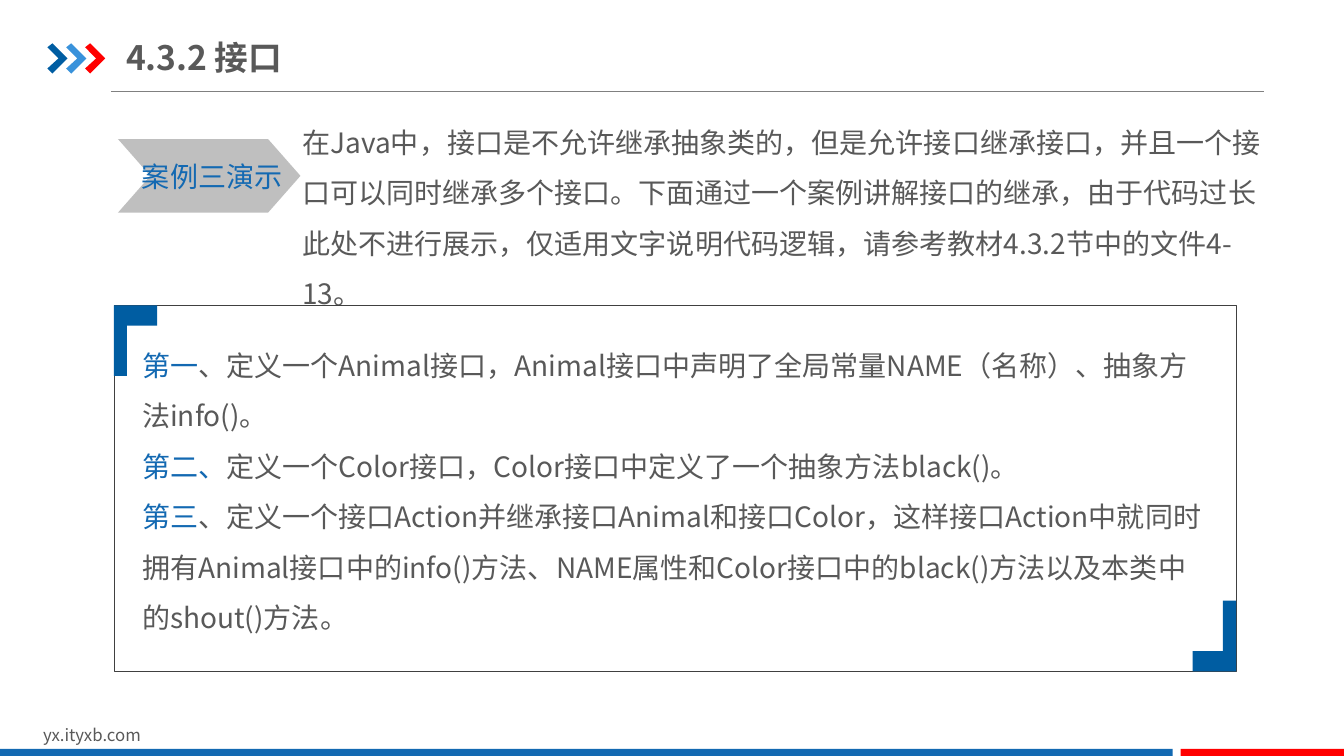
"""Build the slide on interface inheritance in Java."""
from lxml.etree import SubElement
from pptx import Presentation
from pptx.dml.color import RGBColor
from pptx.enum.shapes import MSO_CONNECTOR, MSO_SHAPE
from pptx.enum.text import MSO_ANCHOR, MSO_AUTO_SIZE, PP_ALIGN
from pptx.oxml.ns import qn
from pptx.util import Inches, Pt

FONT = "Noto Sans CJK SC"
NAVY = RGBColor(0x00, 0x5D, 0xA2)
SKY = RGBColor(0x39, 0x92, 0xDB)
BLUE = RGBColor(0x13, 0x69, 0xB2)
RED = RGBColor(0xFF, 0x00, 0x00)
TEXT = RGBColor(0x59, 0x59, 0x59)
RULE = RGBColor(0x80, 0x80, 0x80)
SILVER = RGBColor(0xBF, 0xBF, 0xBF)
EDGE = RGBColor(0x40, 0x40, 0x40)


def add_run(paragraph, text, color=TEXT, size=20, bold=False):
    run = paragraph.add_run()
    run.text = text
    run.font.size = Pt(size)
    run.font.bold = bold
    run.font.color.rgb = color
    run.font.name = FONT
    SubElement(run.font._element, qn("a:ea"), typeface=FONT)


def add_outline(points, color):
    corners = [(Inches(x), Inches(y)) for x, y in points]
    builder = slide.shapes.build_freeform(*corners[0], scale=1.0)
    builder.add_line_segments(corners[1:], close=True)
    outline = builder.convert_to_shape()
    outline.shadow.inherit = False
    outline.fill.solid()
    outline.fill.fore_color.rgb = color
    outline.line.fill.background()


prs = Presentation()
prs.slide_width, prs.slide_height = Inches(13.33), Inches(7.5)
slide = prs.slides.add_slide(prs.slide_layouts[1])
title, steps = slide.placeholders

header_rule = slide.shapes.add_connector(
    MSO_CONNECTOR.STRAIGHT, Inches(1.1), Inches(0.91), Inches(12.54), Inches(0.91))
header_rule.line.color.rgb = RULE
header_rule.line.width = Pt(0.75)
SubElement(header_rule._element.spPr, qn("a:effectLst"))

ARROW = [(0, 0.04), (0.05, 0), (0.2, 0.15), (0.05, 0.3), (0, 0.25), (0.11, 0.15)]
for column, color in enumerate((NAVY, SKY, RED)):
    add_outline([(0.47 + 0.187 * column + x, 0.43 + y) for x, y in ARROW], color)

title.left, title.top, title.width, title.height = map(Inches, (1.25, 0.29, 4.26, 0.55))
heading = title.text_frame
heading.auto_size = MSO_AUTO_SIZE.NONE
heading.vertical_anchor = MSO_ANCHOR.MIDDLE
heading.margin_left = heading.margin_right = 0
heading.margin_top = heading.margin_bottom = Inches(0.07)
heading.paragraphs[0].alignment = PP_ALIGN.LEFT
add_run(heading.paragraphs[0], "4.3.2 接口", size=24, bold=True)

for kind, place, color in (
    (MSO_SHAPE.RECTANGLE, (0, 7.43, 11.63, 0.09), BLUE),
    (MSO_SHAPE.RECTANGLE, (11.71, 7.43, 1.63, 0.09), RED),
    (MSO_SHAPE.CHEVRON, (1.17, 1.38, 1.81, 0.73), SILVER),
):
    block = slide.shapes.add_shape(kind, *map(Inches, place))
    block.shadow.inherit = False
    block.fill.solid()
    block.fill.fore_color.rgb = color
    block.line.fill.background()
    if kind == MSO_SHAPE.CHEVRON:
        block.adjustments[0] = 0.44

for text, place, color, size, spacing, wraps in (
    ("yx.ityxb.com", (0.33, 7.14, 3.18, 0.3), TEXT, 12, 1, True),
    ("在Java中，接口是不允许继承抽象类的，但是允许接口继承接口，并且一个接口可以同时继承多个接口。"
     "下面通过一个案例讲解接口的继承，由于代码过长此处不进行展示，仅适用文字说明代码逻辑，"
     "请参考教材4.3.2节中的文件4-13。", (2.9, 1.03, 9.81, 1.61), TEXT, 20, 1.5, True),
    ("案例三演示", (1.31, 1.53, 1.59, 0.44), BLUE, 20, 1, False),
):
    frame = slide.shapes.add_textbox(*map(Inches, place)).text_frame
    frame.word_wrap = wraps
    frame.paragraphs[0].line_spacing = spacing
    add_run(frame.paragraphs[0], text, color, size)

steps.left, steps.top, steps.width, steps.height = map(Inches, (1.31, 3.24, 10.79, 3.13))
steps.text_frame.auto_size = MSO_AUTO_SIZE.NONE
for index, (lead, detail) in enumerate((
    ("第一", "、定义一个Animal接口，Animal接口中声明了全局常量NAME（名称）、抽象方法info()。"),
    ("第二、", "定义一个Color接口，Color接口中定义了一个抽象方法black()。"),
    ("第三", "、定义一个接口Action并继承接口Animal和接口Color，这样接口Action中就同时拥有"
     "Animal接口中的info()方法、NAME属性和Color接口中的black()方法以及本类中的shout()方法。"),
)):
    step = steps.text_frame.add_paragraph() if index else steps.text_frame.paragraphs[0]
    step.line_spacing = 1.5
    step.space_before = Pt(0)
    properties = step._p.get_or_add_pPr()
    properties.set("marL", "0")
    properties.set("indent", "0")
    SubElement(properties, qn("a:buNone"))
    add_run(step, lead, BLUE)
    add_run(step, detail)

LEFT, TOP, WIDTH, HEIGHT = 1.13, 3.03, 11.13, 3.63
panel = slide.shapes.add_shape(
    MSO_SHAPE.ROUNDED_RECTANGLE, *map(Inches, (LEFT, TOP, WIDTH, HEIGHT)))
panel.adjustments[0] = 0
panel.shadow.inherit = False
panel.fill.background()
panel.line.color.rgb = EDGE
panel.line.width = Pt(0.25)

BRACKET = [(0, 0), (0.43, 0), (0.43, 0.2), (0.13, 0.2), (0.13, 0.7), (0, 0.7)]
for x0, y0, direction in ((LEFT, TOP, 1), (LEFT + WIDTH, TOP + HEIGHT, -1)):
    add_outline([(x0 + direction * x, y0 + direction * y) for x, y in BRACKET], NAVY)

prs.save("out.pptx")
